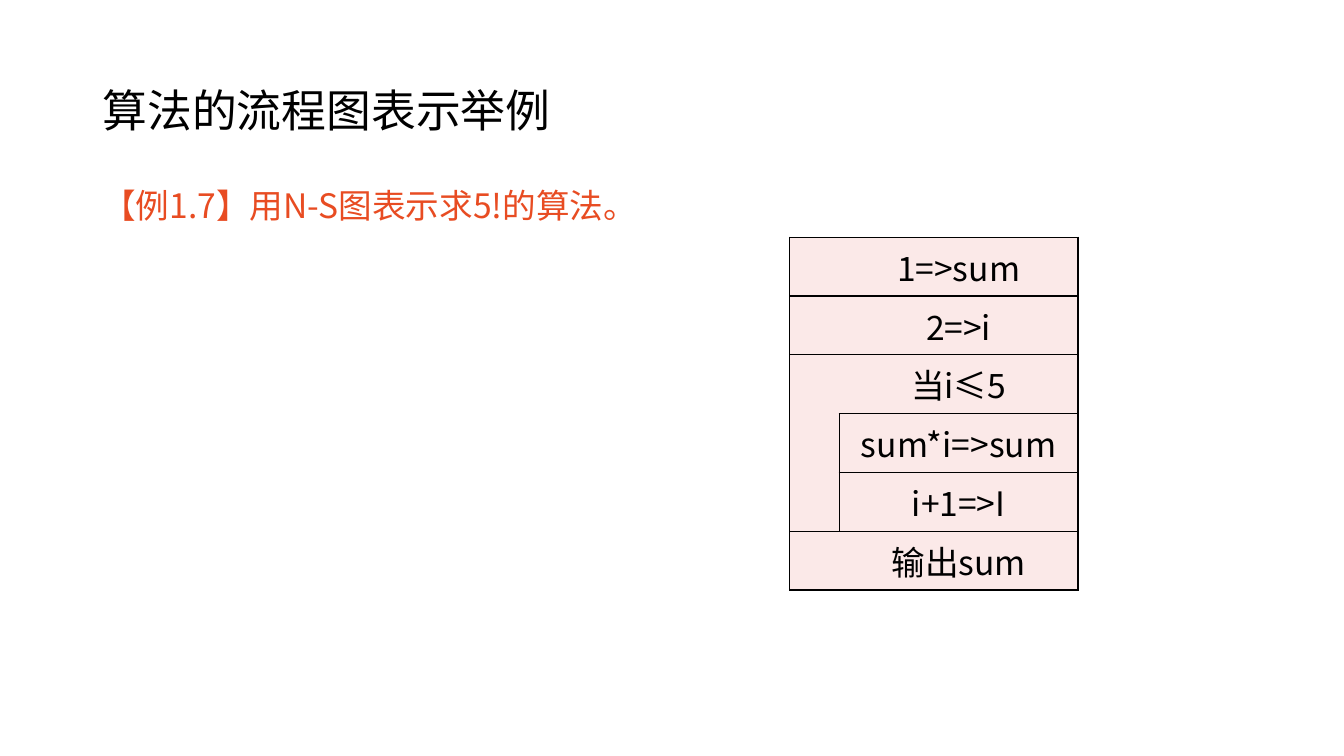
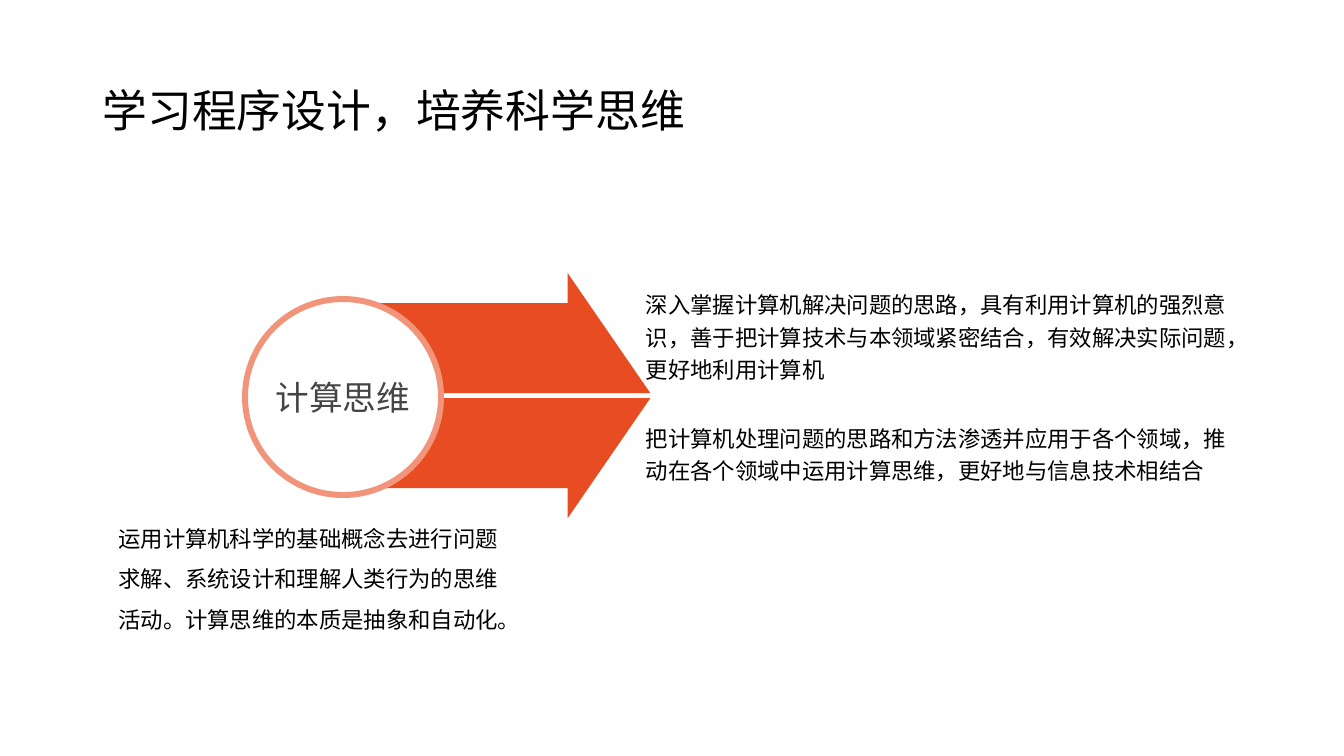
"""Build two slides: an N-S chart of the factorial algorithm and computational thinking."""
from lxml import etree
from pptx import Presentation
from pptx.dml.color import RGBColor
from pptx.enum.shapes import MSO_SHAPE
from pptx.enum.text import MSO_ANCHOR, PP_ALIGN
from pptx.oxml.ns import qn
from pptx.util import Pt

LEFT, CENTER = PP_ALIGN.LEFT, PP_ALIGN.CENTER
TOP, MIDDLE = MSO_ANCHOR.TOP, MSO_ANCHOR.MIDDLE
OVAL = MSO_SHAPE.OVAL

FONT = "Noto Sans CJK SC"
BLACK, WHITE, GREY = "000000", "FFFFFF", "454545"
ORANGE, LIGHT_ORANGE, PINK = "E84C22", "F1947A", "FBE9E8"


def color(value):
    return RGBColor.from_string(value)


def write(frame, text, size, ink=BLACK, align=LEFT, spacing=1.0, anchor=TOP):
    frame.text = text
    frame.word_wrap = True
    frame.vertical_anchor = anchor
    paragraph = frame.paragraphs[0]
    paragraph.alignment = align
    paragraph.line_spacing = spacing
    for run in paragraph.runs:
        run.font.size = Pt(size)
        run.font.name = FONT
        run.font.color.rgb = color(ink)
        east_asian = etree.SubElement(run.font._element, qn("a:ea"))
        east_asian.set("typeface", FONT)


deck = Presentation()
deck.slide_width, deck.slide_height = Pt(960), Pt(540)
title_only = deck.slide_layouts[5]

slides = []
for heading in ("算法的流程图表示举例", "学习程序设计，培养科学思维"):
    slide = deck.slides.add_slide(title_only)
    title = slide.shapes.title
    title.left, title.top, title.width, title.height = Pt(66), Pt(29), Pt(828), Pt(104)
    write(title.text_frame, heading, 32, spacing=0.9, anchor=MIDDLE)
    slides.append(slide)
chart_slide, thinking_slide = slides

example = chart_slide.shapes.add_textbox(Pt(66), Pt(123), Pt(654), Pt(46))
write(example.text_frame, "【例1.7】用N-S图表示求5!的算法。", 24, ORANGE, spacing=1.2)

STEPS = [
    ("1=>sum", "LTB", "RTB"),
    ("2=>i", "LTB", "RTB"),
    ("当i≤5", "LT", "RTB"),
    ("sum*i=>sum", "LR", "LRTB"),
    ("i+1=>I", "LRB", "LRTB"),
    ("输出sum", "LTB", "RTB"),
]
ROW_HEIGHT = 42
ns_chart = chart_slide.shapes.add_table(
    len(STEPS), 2, Pt(564), Pt(169.5), Pt(206), Pt(ROW_HEIGHT * len(STEPS))).table
ns_chart.first_row = ns_chart.horz_banding = False
ns_chart.columns[0].width, ns_chart.columns[1].width = Pt(35.5), Pt(170.5)
for row, (step, *edges) in enumerate(STEPS):
    ns_chart.rows[row].height = Pt(ROW_HEIGHT)
    for column, sides in enumerate(edges):
        cell = ns_chart.cell(row, column)
        properties = cell._tc.get_or_add_tcPr()
        for side in "LRTB":
            border = etree.SubElement(properties, qn("a:ln" + side), w=str(Pt(1)))
            if side in sides:
                ink = etree.SubElement(border, qn("a:solidFill"))
                etree.SubElement(ink, qn("a:srgbClr"), val=BLACK)
            else:
                etree.SubElement(border, qn("a:noFill"))
        cell.fill.solid()
        cell.fill.fore_color.rgb = color(PINK)
    write(ns_chart.cell(row, 1).text_frame, step, 24, align=CENTER)

AXIS = 282.6
TAIL, NECK, TIP = 271.5, 405.5, 464.5
HALF_ARROW = [(TAIL, 1.8), (TAIL, 66), (NECK, 66), (NECK, 87.5), (TIP, 1.8)]
for direction in (-1, 1):
    outline = [(Pt(x), Pt(AXIS + direction * offset)) for x, offset in HALF_ARROW]
    builder = thinking_slide.shapes.build_freeform(*outline[0])
    builder.add_line_segments(outline[1:], close=True)
    arrow = builder.convert_to_shape()
    arrow.shadow.inherit = False
    arrow.fill.solid()
    arrow.fill.fore_color.rgb = color(ORANGE)
    arrow.line.fill.background()

DIAMETER = 140
core = thinking_slide.shapes.add_shape(
    OVAL, Pt(175), Pt(AXIS - DIAMETER / 2 + 1), Pt(DIAMETER), Pt(DIAMETER))
core.shadow.inherit = False
core.fill.solid()
core.fill.fore_color.rgb = color(WHITE)
core.line.color.rgb = color(LIGHT_ORANGE)
core.line.width = Pt(4.25)
label = core.text_frame
label.margin_left = label.margin_right = label.margin_top = label.margin_bottom = 0
write(label, "计算思维", 24, GREY, CENTER, anchor=MIDDLE)
label.word_wrap = False

EXPLANATIONS = [
    ("深入掌握计算机解决问题的思路，具有利用计算机的强烈意识，善于把计算技术与本领域紧密结合，有效解决实际问题，更好地利用计算机",
     (454.3, 207, 440, 64), 1.2, MIDDLE),
    ("把计算机处理问题的思路和方法渗透并应用于各个领域，推动在各个领域中运用计算思维，更好地与信息技术相结合",
     (454.3, 289, 440, 67.5), 1.2, MIDDLE),
    ("运用计算机科学的基础概念去进行问题求解、系统设计和理解人类行为的思维活动。计算思维的本质是抽象和自动化。",
     (77.5, 362, 290, 94.5), 1.5, TOP),
]
for explanation, place, spacing, anchor in EXPLANATIONS:
    box = thinking_slide.shapes.add_textbox(*map(Pt, place))
    write(box.text_frame, explanation, 16, spacing=spacing, anchor=anchor)

deck.save("out.pptx")
